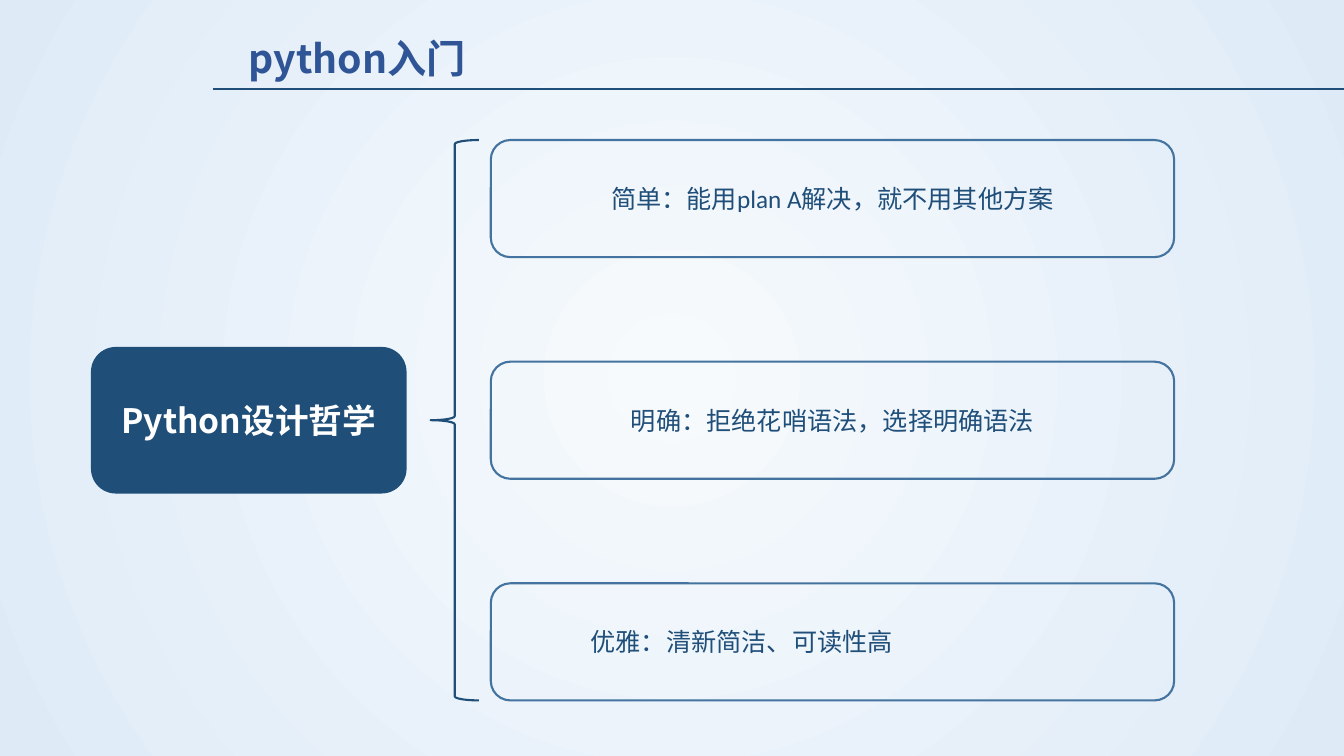
from lxml.etree import SubElement
from pptx import Presentation
from pptx.dml.color import RGBColor
from pptx.enum.shapes import MSO_CONNECTOR as Connector, MSO_SHAPE as Shape
from pptx.enum.text import MSO_ANCHOR as Anchor, MSO_AUTO_SIZE as AutoSize, PP_ALIGN as Align
from pptx.oxml.ns import qn
from pptx.util import Cm, Pt

WIDTH, HEIGHT = 33.87, 19.05
NAVY = "1F4E79"
CJK_FONT = "Noto Sans CJK SC"
TITLE = {"name": CJK_FONT, "size": Pt(28), "bold": True}
TOPIC = {"name": CJK_FONT, "size": Pt(24), "bold": True}
POINT = {"name": "Calibri", "size": Pt(18), "bold": False}

# Each principle with its alignment and left margin
PRINCIPLES = [
    ("简单：能用plan A解决，就不用其他方案", Align.CENTER, 0.25),
    ("明确：拒绝花哨语法，选择明确语法", Align.CENTER, 0.25),
    ("优雅：清新简洁、可读性高", Align.LEFT, 2.37),
]


def color(value):
    return RGBColor.from_string(value)


def write(shape, text, font_format, font_color, align):
    paragraph = shape.text_frame.paragraphs[0]
    paragraph.alignment = align
    run = paragraph.add_run()
    run.text = text
    for name, value in font_format.items():
        setattr(run.font, name, value)
    run.font.color.rgb = color(font_color)
    # East Asian typeface follows the Latin one
    SubElement(run.font._element, qn("a:ea"), typeface=CJK_FONT)


def add_outline(slide, kind, box, line_color, line_width, fill=None):
    shape = slide.shapes.add_shape(kind, *map(Cm, box))
    shape.shadow.inherit = False
    shape.line.color.rgb = color(line_color)
    shape.line.width = Pt(line_width)
    if fill:
        shape.fill.solid()
        shape.fill.fore_color.rgb = color(fill)
    else:
        shape.fill.background()
    shape.text_frame.word_wrap = True
    shape.text_frame.vertical_anchor = Anchor.MIDDLE
    return shape


def paint_background(slide):
    fill = slide.background.fill
    fill.gradient()
    for stop, value in zip(fill.gradient_stops, ("F7FAFD", "DEEBF7")):
        stop.color.rgb = color(value)
    # Radial gradient from the centre
    gradient = slide.element.find(".//" + qn("a:gradFill"))
    gradient.remove(gradient.find(qn("a:lin")))
    radial = SubElement(gradient, qn("a:path"), path="circle")
    SubElement(radial, qn("a:fillToRect"), l="50000", t="50000", r="50000", b="50000")


def add_header(slide, left, top, width, height):
    # Title
    title = slide.shapes.title
    title.left, title.top = Cm(left + 0.66), Cm(top)
    title.width, title.height = Cm(7.72), Cm(height - 0.05)
    frame = title.text_frame
    frame.word_wrap = True
    frame.auto_size = AutoSize.SHAPE_TO_FIT_TEXT
    frame.vertical_anchor = Anchor.TOP
    write(title, "python入门", TITLE, "2F5597", Align.LEFT)
    # Rule below the title
    bottom = Cm(top + height)
    rule = slide.shapes.add_connector(
        Connector.STRAIGHT, Cm(left), bottom, Cm(left + width), bottom)
    rule.line.color.rgb = color(NAVY)
    rule.line.width = Pt(1.25)
    SubElement(rule._element.spPr, qn("a:effectLst"))


def add_principles(slide, left, top, width, height):
    # Topic on the left, centred on the brace
    topic_height = 3.66
    topic = add_outline(
        slide, Shape.ROUNDED_RECTANGLE,
        (left, top + (height - topic_height) / 2, 7.92, topic_height), NAVY, 1, NAVY)
    write(topic, "Python设计哲学", TOPIC, "FFFFFF", Align.CENTER)

    # Brace
    add_outline(slide, Shape.LEFT_BRACE, (left + 8.54, top, 1.22, height), NAVY, 1.5)

    # Evenly spaced principles
    offset, box_height = 10.06, 2.95
    pitch = (height - box_height) / (len(PRINCIPLES) - 1)
    for index, (text, align, margin) in enumerate(PRINCIPLES):
        box = (left + offset, top + index * pitch, width - offset, box_height)
        shape = add_outline(slide, Shape.ROUNDED_RECTANGLE, box, "43739E", 1.5)
        shape.text_frame.margin_left = Cm(margin)
        write(shape, text, POINT, NAVY, align)


def main():
    presentation = Presentation()
    presentation.slide_width, presentation.slide_height = Cm(WIDTH), Cm(HEIGHT)
    slide = presentation.slides.add_slide(presentation.slide_layouts[5])
    paint_background(slide)
    add_header(slide, 5.36, 0.74, WIDTH - 5.36, 1.5)
    add_principles(slide, 2.31, 3.53, 27.28, 14.12)
    presentation.save("out.pptx")


if __name__ == "__main__":
    main()
